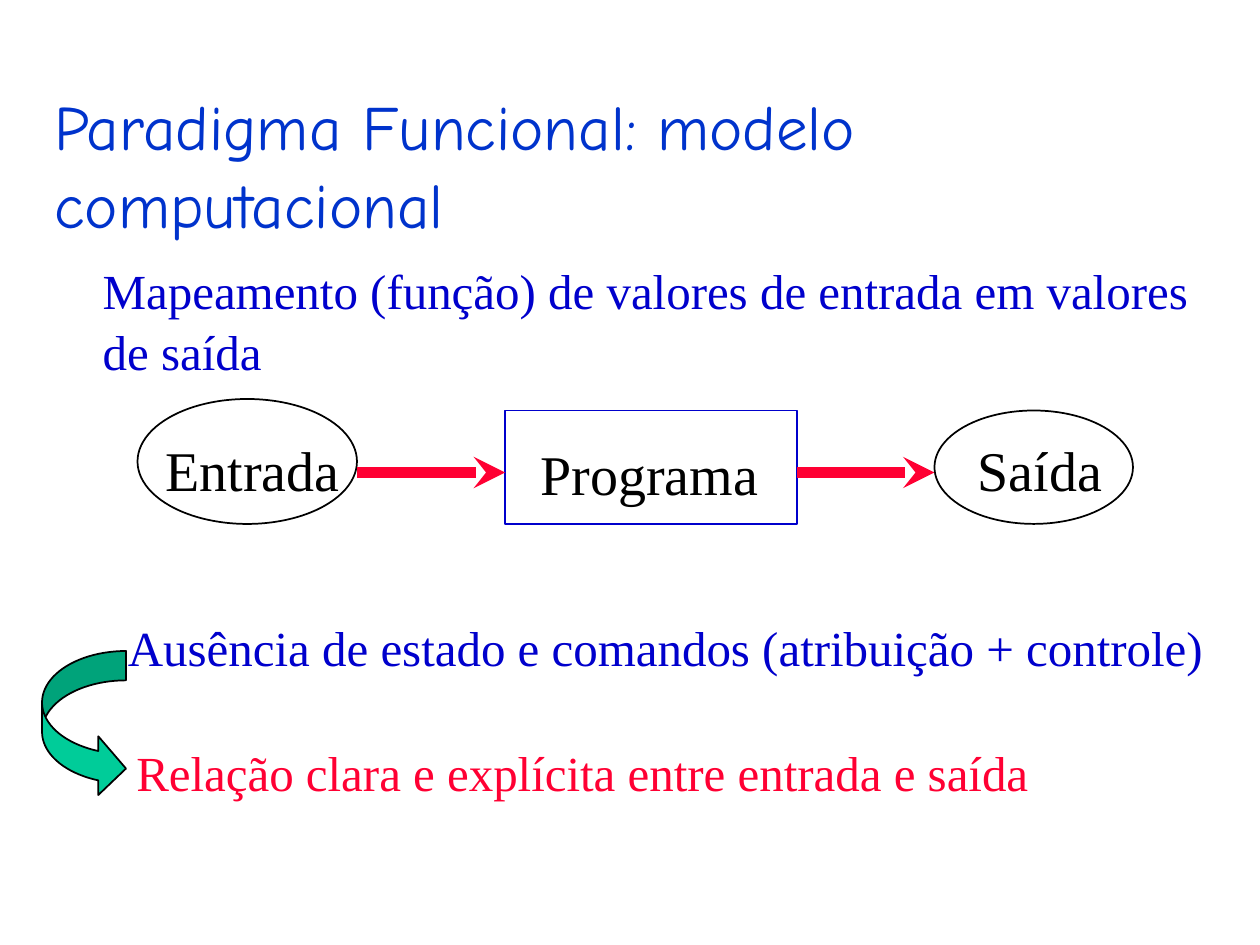
from lxml import etree
from pptx import Presentation
from pptx.dml.color import RGBColor
from pptx.enum.shapes import MSO_CONNECTOR, MSO_SHAPE
from pptx.enum.text import MSO_ANCHOR, MSO_AUTO_SIZE, PP_ALIGN
from pptx.oxml.ns import qn
from pptx.util import Inches, Pt

OVAL, BOX = MSO_SHAPE.OVAL, MSO_SHAPE.RECTANGLE
CURVED_ARROW = MSO_SHAPE.CURVED_RIGHT_ARROW
STRAIGHT = MSO_CONNECTOR.STRAIGHT
LEFT, CENTER = PP_ALIGN.LEFT, PP_ALIGN.CENTER
TOP, MIDDLE = MSO_ANCHOR.TOP, MSO_ANCHOR.MIDDLE
FIT, FIXED = MSO_AUTO_SIZE.SHAPE_TO_FIT_TEXT, MSO_AUTO_SIZE.NONE

SERIF, TITLE_FONT = "Times New Roman", "Comic Neue"
BLACK, BLUE, TITLE_BLUE = "000000", "0000CC", "0033CC"
RED, GREEN = "FF0033", "00CC99"
COLUMNS, ROWS = 120, 90
LINE_SPACING = 1.04
FLOW_ROW = 45


def cells(*counts):
    """Turn counts of grid cells, twelve to the inch, into lengths."""
    return [Inches(count / 12) for count in counts]


def paint(color_format, color):
    """Give a colour format a hex colour."""
    color_format.rgb = RGBColor.from_string(color)


def apply(target, values):
    """Set each format value on its target."""
    for attribute, value in values.items():
        setattr(target, attribute, value)


def add_text(slide, area, lines, size, color, font=SERIF, align=LEFT,
             anchor=TOP, wrap=False, fit=FIT):
    """Add a text box with one paragraph for each line."""
    frame = slide.shapes.add_textbox(*cells(*area)).text_frame
    apply(frame, {"word_wrap": wrap, "auto_size": fit, "vertical_anchor": anchor})
    frame.text = "\n".join(lines)
    for paragraph in frame.paragraphs:
        apply(paragraph, {"alignment": align, "line_spacing": LINE_SPACING})
        for run in paragraph.runs:
            apply(run.font, {"name": font, "size": Pt(size)})
            paint(run.font.color, color)


def add_outline(slide, kind, area, line_color, fill_color=None):
    """Add a thinly outlined preset shape, filled when a colour is given."""
    outline = slide.shapes.add_shape(kind, *cells(*area))
    outline.shadow.inherit = False
    if fill_color:
        outline.fill.solid()
        paint(outline.fill.fore_color, fill_color)
    else:
        outline.fill.background()
    outline.line.width = Pt(1)
    paint(outline.line.color, line_color)
    return outline


def add_flow(slide, start, end):
    """Add a thick red arrow between two columns of the flow row."""
    flow = slide.shapes.add_connector(
        STRAIGHT, *cells(start, FLOW_ROW, end, FLOW_ROW))
    flow.line.width = Pt(6)
    paint(flow.line.color, RED)
    etree.SubElement(flow.line._get_or_add_ln(), qn("a:tailEnd"), type="stealth")
    etree.SubElement(flow._element.spPr, qn("a:effectLst"))


def add_consequence_arrow(slide, area):
    """Add the curved green arrow leading to the conclusion."""
    arrow = add_outline(slide, CURVED_ARROW, area, BLACK, GREEN)
    for index, share in enumerate((0.35, 0.7, 0.33)):
        arrow.adjustments[index] = share


def main():
    """Build and save the slide on the functional paradigm."""
    deck = Presentation()
    deck.slide_width, deck.slide_height = cells(COLUMNS, ROWS)
    slide = deck.slides.add_slide(deck.slide_layouts[6])

    add_text(slide, (4, 8, 112, 15), ["Paradigma Funcional: modelo computacional"],
             36, TITLE_BLUE, TITLE_FONT, anchor=MIDDLE, wrap=True, fit=FIXED)

    stages = [
        ("Entrada", (14.5, 40.6, 19.1, 7.6), OVAL, (13.1, 38, 20.9, 11.9), BLACK),
        ("Programa", (49, 41, 25.7, 7.6), BOX, (48.1, 39.1, 27.8, 10.8), BLUE),
        ("Saída", (91.9, 40.6, 14.3, 7.6), OVAL, (89, 39.1, 18.9, 10.8), BLACK),
    ]
    for label, label_area, kind, area, line_color in stages:
        add_text(slide, label_area, [label], 32, BLACK, align=CENTER)
        add_outline(slide, kind, area, line_color)
    for (*_, source, _), (*_, target, _) in zip(stages, stages[1:]):
        add_flow(slide, source[0] + source[2], target[0])

    statements = [
        (["Mapeamento (função) de valores de entrada em valores", "de saída"],
         (8.6, 24, 106.9, 12.5), BLUE),
        (["Ausência de estado e comandos (atribuição + controle)"],
         (11, 58, 104.8, 6.8), BLUE),
        (["Relação clara e explícita entre entrada e saída"],
         (11.8, 69.9, 87.4, 6.8), RED),
    ]
    for lines, area, color in statements:
        add_text(slide, area, lines, 28, color)
    add_consequence_arrow(slide, (4, 62, 8, 14))

    deck.save("out.pptx")


if __name__ == "__main__":
    main()
